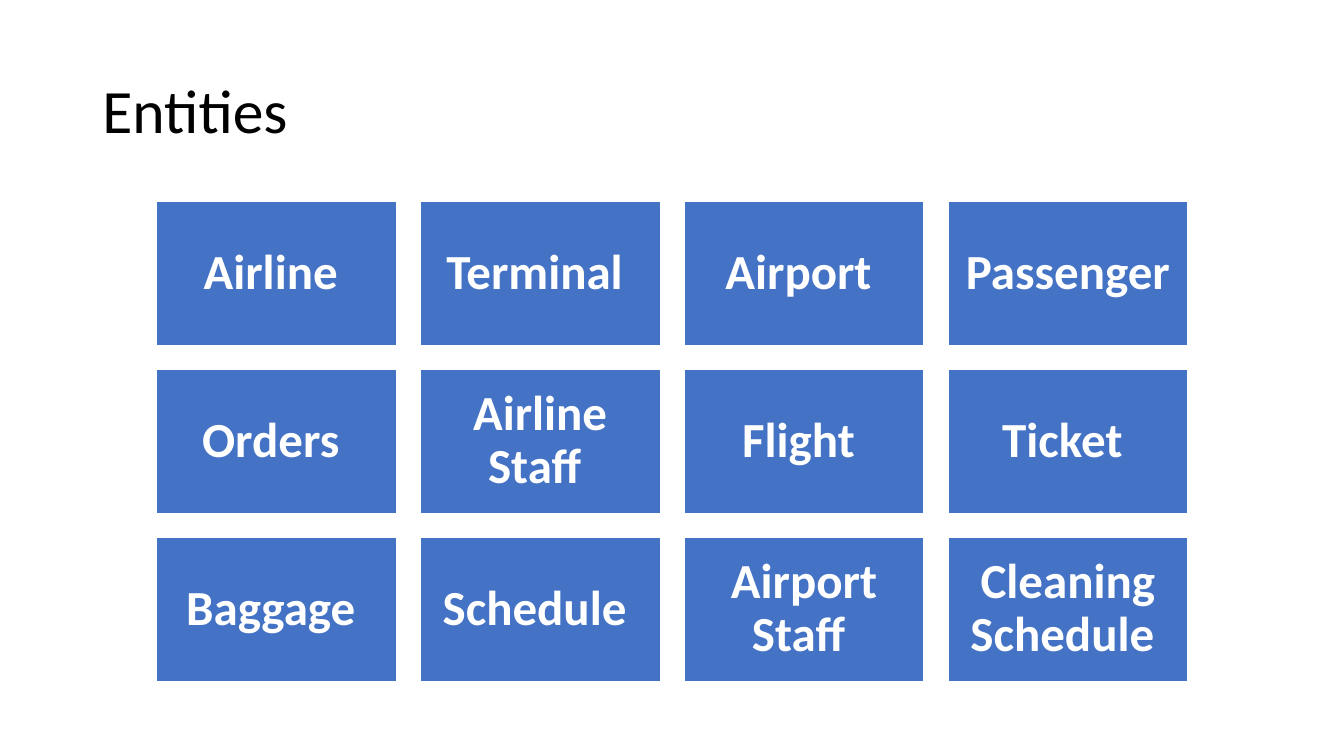
from pptx import Presentation
from pptx.dml.color import RGBColor
from pptx.enum.shapes import MSO_SHAPE
from pptx.enum.text import MSO_ANCHOR, PP_ALIGN
from pptx.util import Cm, Pt

RECTANGLE = MSO_SHAPE.RECTANGLE
MIDDLE = MSO_ANCHOR.MIDDLE
LEFT, CENTER = PP_ALIGN.LEFT, PP_ALIGN.CENTER

BLACK = RGBColor(0x00, 0x00, 0x00)
WHITE = RGBColor(0xFF, 0xFF, 0xFF)
BLUE = RGBColor(0x44, 0x72, 0xC4)

FONT = "Calibri"
ENTITY_ROWS = [
    ["Airline ", "Terminal ", "Airport ", "Passenger "],
    ["Orders ", "Airline Staff ", "Flight ", "Ticket "],
    ["Baggage ", "Schedule ", "Airport Staff ", "Cleaning Schedule "],
]
GRID_LEFT, GRID_TOP = 3.94, 5.08
TILE_WIDTH, TILE_HEIGHT = 6.05, 3.63
TILE_GAP = 0.6
ROW_GAP = 0.6
TILE_INSET = Cm(0.37)


def write_text(shape, text, size, color, align, bold=False):
    frame = shape.text_frame
    frame.word_wrap = True
    frame.vertical_anchor = MIDDLE
    para = frame.paragraphs[0]
    para.text = text
    para.alignment = align
    para.line_spacing = 0.9
    para.font.name = FONT
    para.font.size = Pt(size)
    para.font.bold = bold
    para.font.color.rgb = color


def add_title(page, text):
    box = page.shapes.add_textbox(Cm(2.33), Cm(1.01), Cm(29.21), Cm(3.68))
    write_text(box, text, 44, BLACK, LEFT)


def add_tile(page, left, top, text):
    tile = page.shapes.add_shape(
        RECTANGLE, Cm(left), Cm(top), Cm(TILE_WIDTH), Cm(TILE_HEIGHT)
    )
    tile.shadow.inherit = False
    tile.fill.solid()
    tile.fill.fore_color.rgb = BLUE
    tile.line.color.rgb = WHITE
    tile.line.width = Pt(1)
    frame = tile.text_frame
    frame.margin_left = frame.margin_right = TILE_INSET
    frame.margin_top = frame.margin_bottom = TILE_INSET
    write_text(tile, text, 35, WHITE, CENTER, bold=True)


def add_entity_grid(page):
    for row, entities in enumerate(ENTITY_ROWS):
        top = GRID_TOP + row * (TILE_HEIGHT + ROW_GAP)
        for column, entity in enumerate(entities):
            left = GRID_LEFT + column * (TILE_WIDTH + TILE_GAP)
            add_tile(page, left, top, entity)


def main():
    deck = Presentation()
    deck.slide_width = Cm(33.87)
    deck.slide_height = Cm(19.05)
    page = deck.slides.add_slide(deck.slide_layouts[6])
    add_title(page, "Entities")
    add_entity_grid(page)
    deck.save("out.pptx")


if __name__ == "__main__":
    main()
